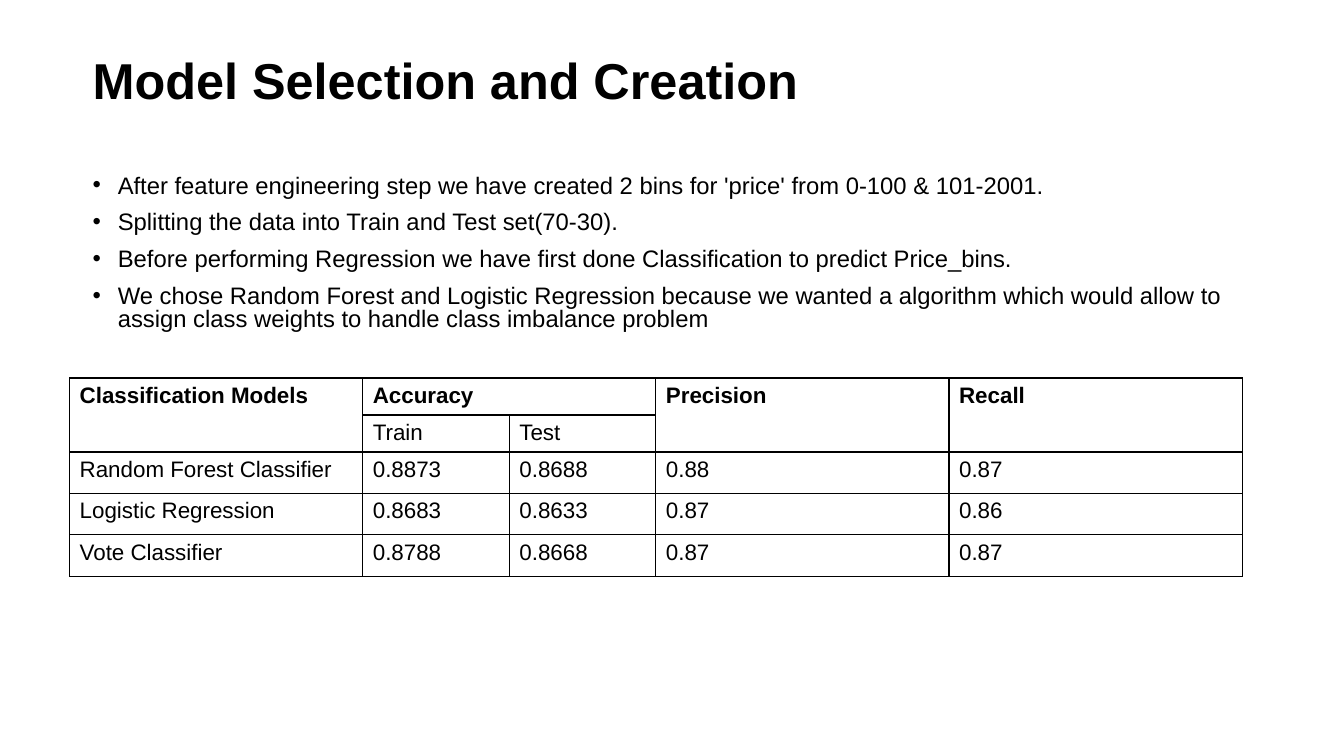
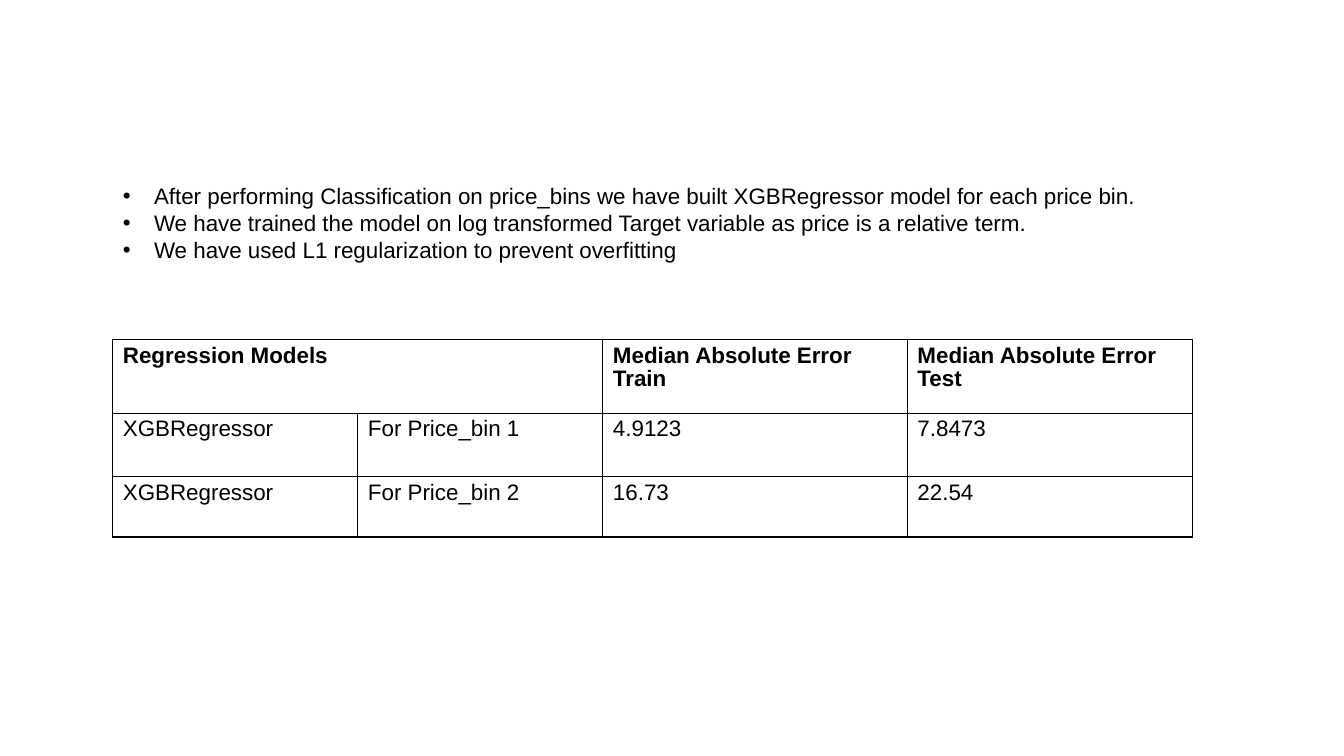
from dataclasses import dataclass

from lxml import etree
from pptx import Presentation
from pptx.dml.color import RGBColor
from pptx.enum.text import MSO_ANCHOR, PP_ALIGN
from pptx.oxml.ns import qn
from pptx.util import Emu, Inches, Pt

LEFT = PP_ALIGN.LEFT
TOP, MIDDLE = MSO_ANCHOR.TOP, MSO_ANCHOR.MIDDLE
TITLE_ONLY, BLANK = 5, 6


@dataclass(frozen=True)
class Theme:
    font: str = "Arial"
    ink: RGBColor = RGBColor(0, 0, 0)
    paper: RGBColor = RGBColor(255, 255, 255)
    title_size: int = 36
    lead_size: int = 17
    text_size: int = 16
    border: int = 1


THEME = Theme()


def write(frame, text, size=THEME.text_size, bold=False, anchor=TOP,
          spacing=1.0, before=0, bullet_indent=None):
    """Write text into a frame, one paragraph per line."""
    frame.word_wrap = True
    frame.vertical_anchor = anchor
    frame.text = text
    for paragraph in frame.paragraphs:
        paragraph.alignment = LEFT
        paragraph.line_spacing = spacing
        paragraph.space_before = Pt(before)
        font = paragraph.font
        for run in paragraph.runs:
            font = run.font
            font.name, font.size, font.bold = THEME.font, Pt(size), bold
            font.color.rgb = THEME.ink
        if bullet_indent:
            props = paragraph._p.get_or_add_pPr()
            props.set("marL", str(Inches(bullet_indent)))
            props.set("indent", str(-Inches(bullet_indent)))
            etree.SubElement(props, qn("a:buFont"), typeface=THEME.font)
            etree.SubElement(props, qn("a:buChar"), char="•")


def outline(cell):
    """Draw a thin line on all four sides of a table cell."""
    props = cell._tc.get_or_add_tcPr()
    for index, side in enumerate(("a:lnL", "a:lnR", "a:lnT", "a:lnB")):
        line = etree.Element(qn(side), w=str(Pt(THEME.border)))
        fill = etree.SubElement(line, qn("a:solidFill"))
        etree.SubElement(fill, qn("a:srgbClr"), val=str(THEME.ink))
        props.insert(index, line)


class Deck:
    """Holds the presentation and its current slide; boxes are in percent."""

    def __init__(self):
        self.prs = Presentation()
        self.prs.slide_width, self.prs.slide_height = Inches(13.33), Inches(7.5)
        self.slide = None

    def box(self, left, top, width, height):
        across, down = self.prs.slide_width / 100, self.prs.slide_height / 100
        return [Emu(round(share * unit)) for share, unit in
                zip((left, top, width, height), (across, down) * 2)]

    def new_slide(self, layout):
        self.slide = self.prs.slides.add_slide(self.prs.slide_layouts[layout])
        fill = self.slide.background.fill
        fill.solid()
        fill.fore_color.rgb = THEME.paper

    def title(self, text, box):
        title = self.slide.shapes.title
        title.left, title.top, title.width, title.height = self.box(*box)
        write(title.text_frame, text, size=THEME.title_size, bold=True,
              anchor=MIDDLE, spacing=0.9)

    def bullets(self, points, box, **style):
        frame = self.slide.shapes.add_textbox(*self.box(*box)).text_frame
        write(frame, "\n".join(points), **style)

    def table(self, rows, box, col_shares, row_shares, merges, bold_rows=1, spacing=1.0):
        left, top, width, height = self.box(*box)
        table = self.slide.shapes.add_table(
            len(rows), len(col_shares), left, top, width, height).table
        table.first_row = table.horz_banding = False
        for column, share in zip(table.columns, col_shares):
            column.width = Emu(round(width * share / sum(col_shares)))
        for row, share in zip(table.rows, row_shares):
            row.height = Emu(round(height * share / sum(row_shares)))
        for r, texts in enumerate(rows):
            for c, text in enumerate(texts):
                cell = table.cell(r, c)
                cell.fill.background()
                outline(cell)
                if text:
                    write(cell.text_frame, text, bold=r < bold_rows, spacing=spacing)
        for first, last in merges:
            table.cell(*first).merge(table.cell(*last))


def classification_slide(deck):
    deck.new_slide(TITLE_ONLY)
    deck.title("Model Selection and Creation", (6.15, 5.33, 86.27, 11.33))
    deck.bullets(
        ["After feature engineering step we have created 2 bins for 'price' from 0-100 & 101-2001.",
         "Splitting the data into Train and Test set(70-30).",
         "Before performing Regression we have first done Classification to predict Price_bins.",
         "We chose Random Forest and Logistic Regression because we wanted a algorithm which "
         "would allow to assign class weights to handle class imbalance problem"],
        (6.15, 22.6, 86.27, 24),
        size=THEME.lead_size, spacing=0.8, before=10, bullet_indent=0.25)
    # Scores of the classifiers, under a two-row header
    deck.table(
        [["Classification Models", "Accuracy", "", "Precision", "Recall"],
         ["", "Train", "Test", "", ""],
         ["Random Forest Classifier", "0.8873", "0.8688", "0.88", "0.87"],
         ["Logistic Regression", "0.8683", "0.8633", "0.87", "0.86"],
         ["Vote Classifier", "0.8788", "0.8668", "0.87", "0.87"]],
        (5.18, 50, 87.25, 25.8),
        col_shares=(2, 1, 1, 2, 2), row_shares=(35, 35, 41, 41, 41),
        merges=[((0, 0), (1, 0)), ((0, 1), (0, 2)),
                ((0, 3), (1, 3)), ((0, 4), (1, 4))])


def regression_slide(deck):
    deck.new_slide(BLANK)
    # Errors of the regressors, one row per price bin
    deck.table(
        [["Regression Models", "", "Median Absolute Error\nTrain", "Median Absolute Error\nTest"],
         ["XGBRegressor", "For Price_bin 1", "4.9123", "7.8473"],
         ["XGBRegressor", "For Price_bin 2", "16.73", "22.54"]],
        (8.4, 44.93, 80.35, 26.1),
        col_shares=(243, 243, 302, 283), row_shares=(73, 63, 60),
        merges=[((0, 0), (0, 1))], spacing=0.93)
    deck.bullets(
        ["After performing Classification on price_bins we have built XGBRegressor model for each price bin.",
         "We have trained the model on log transformed Target variable as price is a relative term.",
         "We have used L1 regularization to prevent overfitting"],
        (8.4, 23.47, 83.05, 15.73), bullet_indent=0.31)


def main():
    deck = Deck()
    classification_slide(deck)
    regression_slide(deck)
    deck.prs.save("out.pptx")


if __name__ == "__main__":
    main()
